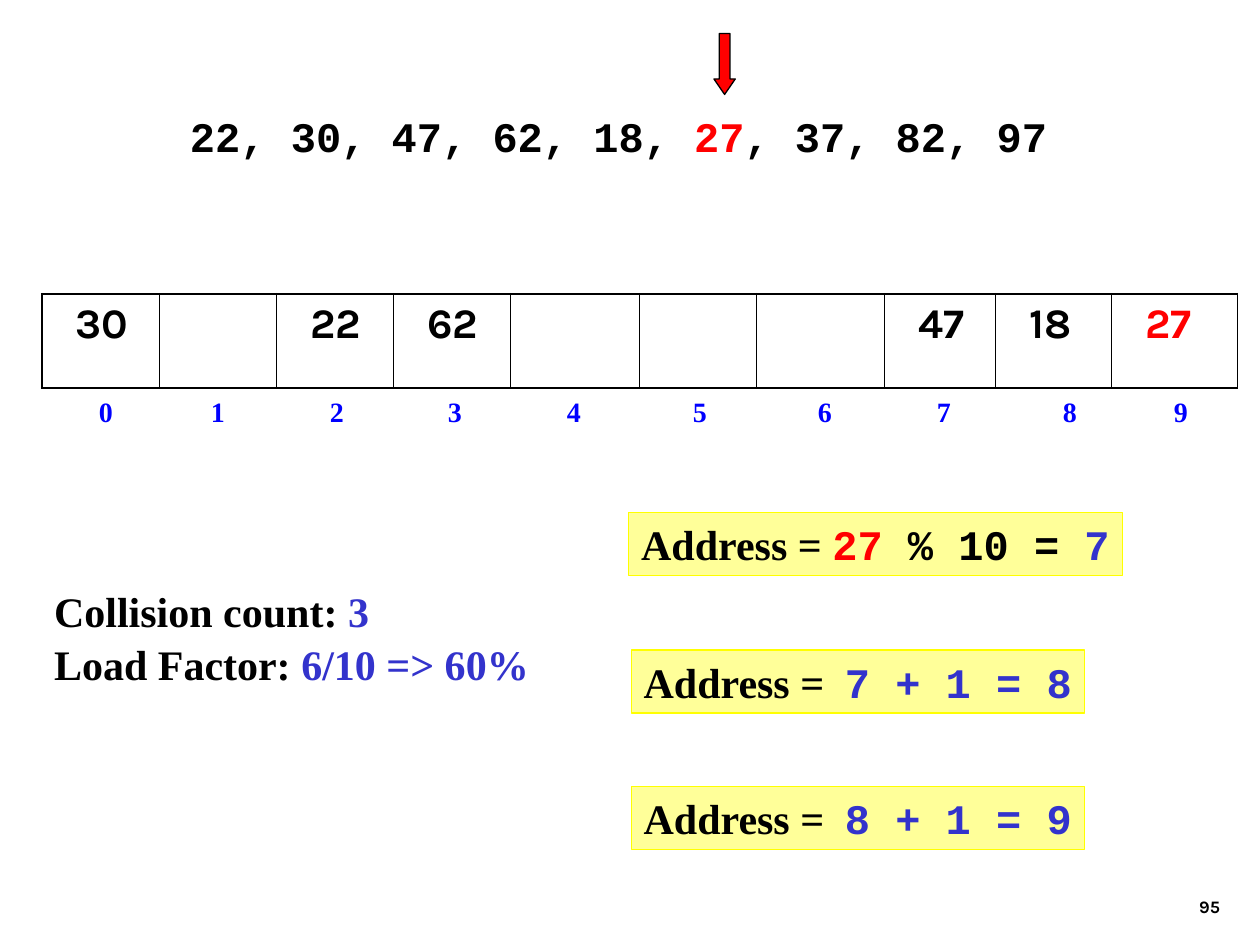
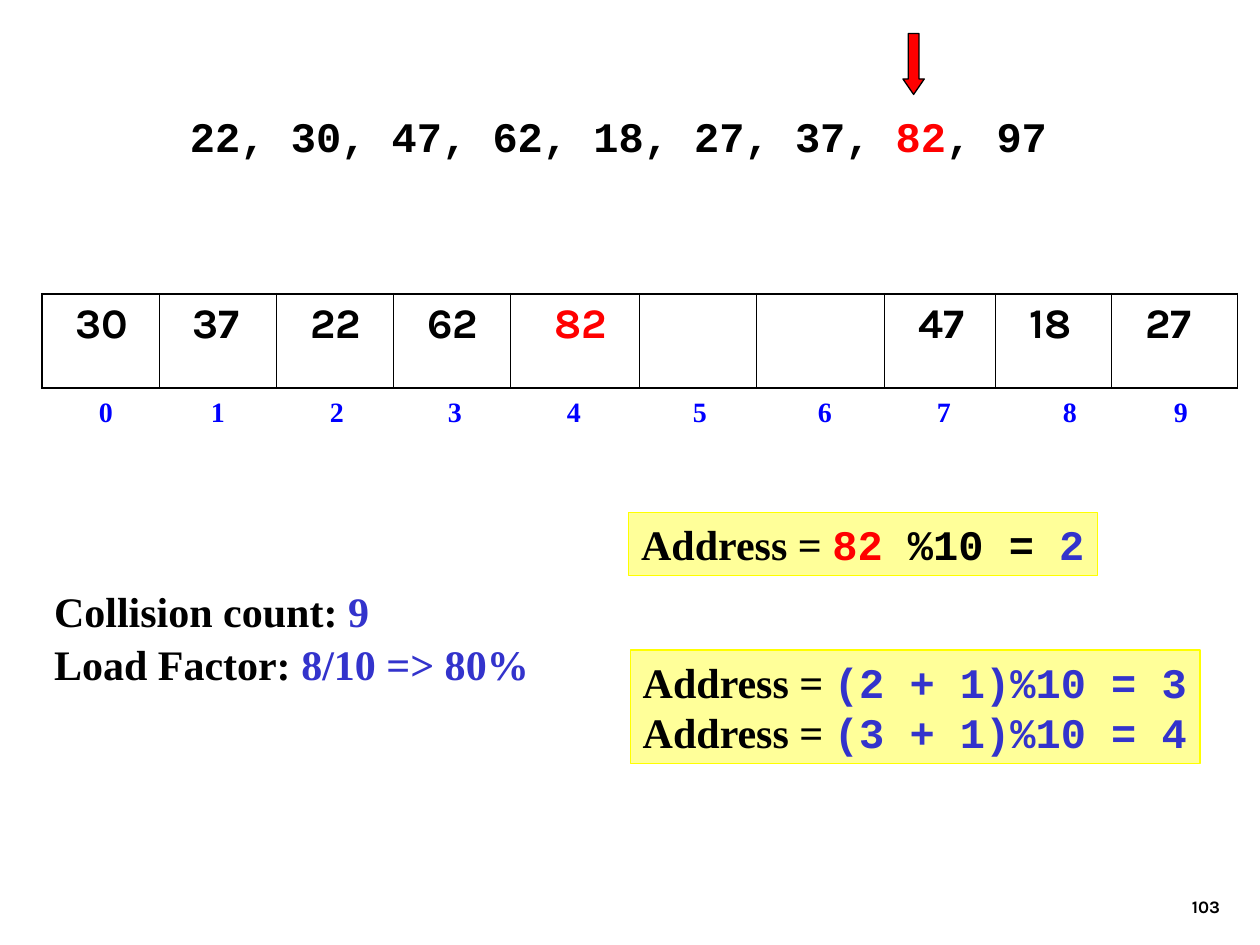
from lxml import etree
from pptx import Presentation
from pptx.dml.color import RGBColor as RGB
from pptx.enum.shapes import MSO_SHAPE as SHAPE
from pptx.enum.text import MSO_ANCHOR as ANCHOR, MSO_AUTO_SIZE as FIT, PP_ALIGN as ALIGN
from pptx.oxml.ns import qn
from pptx.util import Pt

COLORS = {"black": "000000", "red": "FF0000", "result": "3333CC", "index": "0000FF",
          "box": "FFFF99", "box_line": "FFFF00"}
SERIF, MONO, SANS = "Times New Roman", "Courier New", "Karla"

KEYS = [22, 30, 47, 62, 18, 27, 37, 82, 97]
COL_WIDTHS = [67, 67, 67, 67, 73.4, 67, 73.4, 63.4, 66.2, 72]
INDEX_TABS = [35.4, 99.4, 167.4, 234.8, 302.8, 374.8, 446.2, 514.2, 586.2, 649.7]
LABEL = ("Address = ", SERIF, "black")
TABBED_LABEL = ("Address =\t", SERIF, "black")

# Each address box: left, top, width, height, paragraphs of runs
STEPS = [
    {"page": "95", "current": 5, "collisions": "3", "load": "6/10 => 60%",
     "table": {0: 30, 2: 22, 3: 62, 7: 47, 8: 18, 9: 27},
     "boxes": [
         (359.3, 293, 282.3, 36, [[LABEL, ("27", MONO, "red"), (" % 10 = ", MONO, "black"),
                                   ("7", MONO, "result")]]),
         (360.7, 371.5, 259.2, 36, [[TABBED_LABEL, ("7 + 1 = 8", MONO, "result")]]),
         (360.7, 449.3, 259.2, 36, [[TABBED_LABEL, ("8 + 1 = 9", MONO, "result")]]),
     ]},
    {"page": "103", "current": 7, "collisions": "9", "load": "8/10 => 80%",
     "table": {0: 30, 1: 37, 2: 22, 3: 62, 4: 82, 7: 47, 8: 18, 9: 27},
     "boxes": [
         (359.3, 293, 267.8, 36, [[LABEL, ("82", MONO, "red"), (" %10 = ", MONO, "black"),
                                   ("2", MONO, "result")]]),
         (360.2, 371.5, 325.6, 64.8, [[LABEL, ("(2 + 1)%10 = 3", MONO, "result")],
                                      [LABEL, ("(3 + 1)%10 = 4", MONO, "result")]]),
     ]},
]


def write(tf, paragraphs, size=24, tabs=(), tab_align="l", **formats):
    """Fill a text frame with paragraphs of (text, font, colour) runs."""
    for n, runs in enumerate(paragraphs):
        p = tf.paragraphs[0] if n == 0 else tf.add_paragraph()
        if tabs:
            tab_list = etree.SubElement(p._p.get_or_add_pPr(), qn("a:tabLst"))
            for pos in tabs:
                etree.SubElement(tab_list, qn("a:tab"), pos=str(int(Pt(pos))), algn=tab_align)
        for name, value in {"alignment": ALIGN.LEFT, **formats}.items():
            setattr(p, name, value)
        for text, font, color in runs:
            r = p.add_run()
            r.text = text
            for name, value in {"name": font, "size": Pt(size), "bold": True}.items():
                setattr(r.font, name, value)
            r.font.color.rgb = RGB.from_string(COLORS[color])


def add_box(s, box, shape=None, fill=None, line=None, wrap=True, fit=FIT.NONE,
            anchor=ANCHOR.TOP):
    """Add a text box or a filled shape and return it."""
    place = [Pt(v) for v in box]
    sp = s.shapes.add_shape(shape, *place) if shape else s.shapes.add_textbox(*place)
    if shape:
        sp.shadow.inherit = False
        sp.fill.solid()
        sp.fill.fore_color.rgb = RGB.from_string(COLORS[fill])
        sp.line.color.rgb = RGB.from_string(COLORS[line])
        sp.line.width = Pt(0.75)
    for name, value in {"word_wrap": wrap, "auto_size": fit, "vertical_anchor": anchor}.items():
        setattr(sp.text_frame, name, value)
    return sp


prs = Presentation()
prs.slide_width, prs.slide_height = Pt(720), Pt(540)
GROW = {"wrap": False, "fit": FIT.SHAPE_TO_FIT_TEXT}

for step in STEPS:
    s = prs.slides.add_slide(prs.slide_layouts[6])
    current = step["current"]

    # Page number
    sp = add_box(s, (554.4, 491.8, 149.8, 36), anchor=ANCHOR.BOTTOM)
    write(sp.text_frame, [[(step["page"], SANS, "black")]], size=10, alignment=ALIGN.RIGHT)

    # Slot numbers, centred on tab stops
    sp = add_box(s, (18, 221.8, 689.8, 46))
    numbers = "".join(f"\t{n}" for n in range(10))
    write(sp.text_frame, [[(numbers, SERIF, "index")]], size=16,
          tabs=INDEX_TABS, tab_align="ctr")

    # Hash table
    frame = s.shapes.add_table(1, 10, Pt(23.8), Pt(167.8), Pt(sum(COL_WIDTHS)), Pt(54))
    table = frame.table
    table.first_row = table.horz_banding = False
    table.rows[0].height = Pt(54)
    for slot, width in enumerate(COL_WIDTHS):
        table.columns[slot].width = Pt(width)
        cell = table.cell(0, slot)
        cell.fill.background()
        cell.margin_left = Pt(25 if slot == 4 else 19.4)
        if slot in step["table"]:
            key = step["table"][slot]
            color = "red" if key == KEYS[current] else "black"
            write(cell.text_frame, [[(str(key), SANS, color)]])
        borders = {"lnL": 1.08 if slot == 0 else 0.45, "lnR": 1.08 if slot == 9 else 0.45,
                   "lnT": 1.08, "lnB": 1.08}
        for n, (side, weight) in enumerate(borders.items()):
            ln = etree.Element(qn(f"a:{side}"), w=str(int(Pt(weight))))
            solid = etree.SubElement(ln, qn("a:solidFill"))
            etree.SubElement(solid, qn("a:srgbClr"), val=COLORS["black"])
            cell._tc.get_or_add_tcPr().insert(n, ln)

    # Key sequence with the current key in red
    before = "".join(f"{key}, " for key in KEYS[:current])
    after = "".join(f", {key}" for key in KEYS[current + 1:])
    sp = add_box(s, (101.5, 59.8, 504, 36), **GROW)
    write(sp.text_frame, [[(before, MONO, "black"), (str(KEYS[current]), MONO, "red"),
                           (after, MONO, "black")]])

    # Arrow above the current key
    sp = add_box(s, (138 + 54 * current, 19.2, 12.2, 34.8), SHAPE.DOWN_ARROW, "red", "black")
    sp.adjustments[0], sp.adjustments[1] = 0.5, 0.725

    # Statistics
    sp = add_box(s, (23.8, 329.8, 285.8, 93.6), **GROW)
    write(sp.text_frame, [
        [("Collision count: ", SERIF, "black"), (step["collisions"], SERIF, "result")],
        [("Load Factor: ", SERIF, "black"), (step["load"], SERIF, "result")],
    ], line_spacing=1.05)

    # Address calculations
    for *place, paragraphs in step["boxes"]:
        sp = add_box(s, place, SHAPE.RECTANGLE, "box", "box_line", **GROW)
        tabs = [115] if paragraphs[0][0] == TABBED_LABEL else []
        write(sp.text_frame, paragraphs, tabs=tabs)

prs.save("out.pptx")
